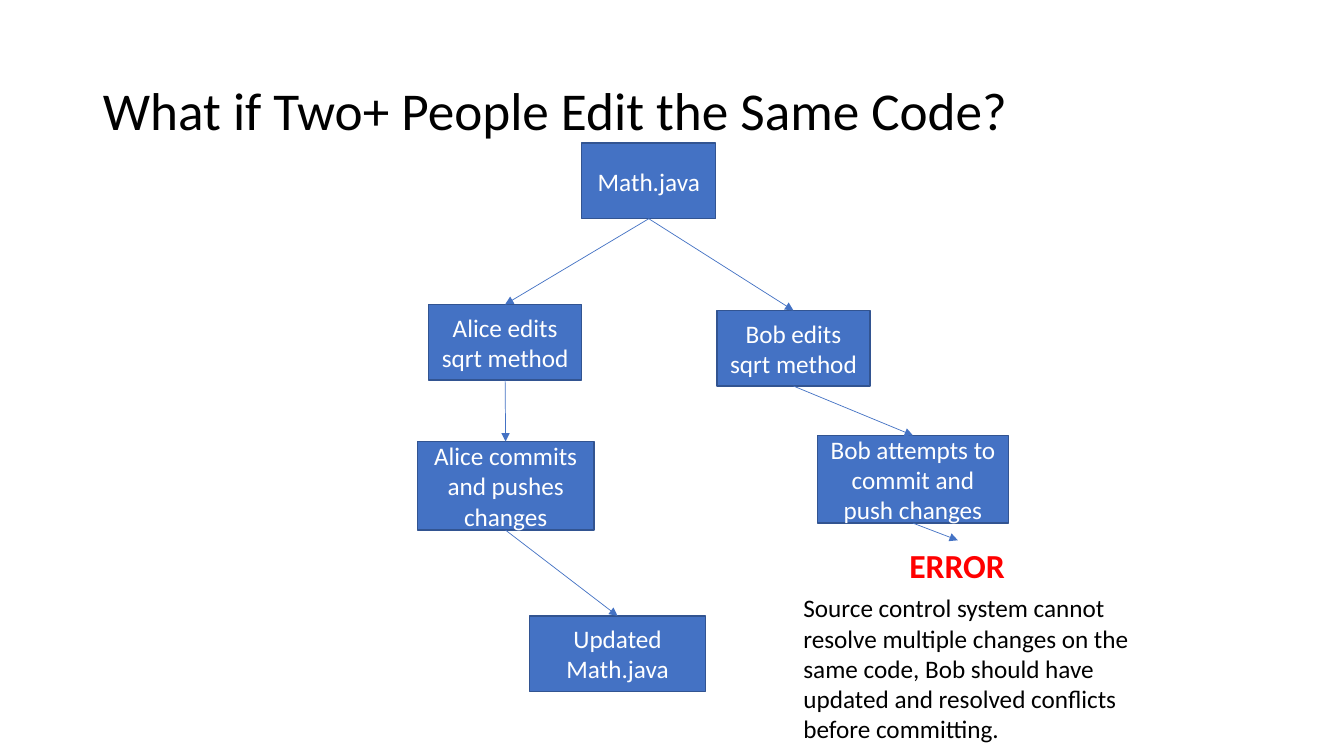
from lxml import etree
from pptx import Presentation
from pptx.dml.color import RGBColor
from pptx.enum import shapes, text
from pptx.oxml import ns
from pptx.util import Inches, Pt

BLUE = RGBColor(0x44, 0x72, 0xC4)
DARK_BLUE = RGBColor(0x32, 0x54, 0x91)
WHITE = RGBColor(0xFF, 0xFF, 0xFF)
BLACK = RGBColor(0, 0, 0)
RED = RGBColor(0xFF, 0, 0)


def style(paragraph, size, color, bold=False):
    font = paragraph.font
    font.name, font.size, font.bold = "Calibri", Pt(size), bold
    font.color.rgb = color


def add_note(left, top, width, height, words, size, color, bold=False):
    note = slide.shapes.add_textbox(Inches(left), Inches(top), Inches(width), Inches(height))
    note.text_frame.text = words
    note.text_frame.word_wrap = False
    note.text_frame.auto_size = text.MSO_AUTO_SIZE.SHAPE_TO_FIT_TEXT
    for paragraph in note.text_frame.paragraphs:
        style(paragraph, size, color, bold)
    return note


prs = Presentation()
prs.slide_width, prs.slide_height = Inches(13.33), Inches(7.5)
slide = prs.slides.add_slide(prs.slide_layouts[5])

title = slide.shapes.title
title.left, title.top = Inches(0.92), Inches(0.4)
title.width, title.height = Inches(11.5), Inches(1.45)
title.text_frame.text = "What if Two+ People Edit the Same Code?"
title.text_frame.vertical_anchor = text.MSO_ANCHOR.MIDDLE
heading = title.text_frame.paragraphs[0]
heading.alignment = text.PP_ALIGN.LEFT
heading.line_spacing = 0.9
style(heading, 38, BLACK)

steps = {}
for step, left, top, width, height, words in [
    ("alice edits", 4.25, 3.02, 1.52, 0.75, "Alice edits sqrt method"),
    ("start", 5.77, 1.42, 1.33, 0.75, "Math.java"),
    ("bob edits", 7.11, 3.08, 1.52, 0.75, "Bob edits sqrt method"),
    ("alice pushes", 4.14, 4.38, 1.75, 0.88, "Alice commits and pushes changes"),
    ("bob pushes", 8.11, 4.32, 1.89, 0.87, "Bob attempts to commit and push changes"),
    ("updated", 5.25, 6.11, 1.75, 0.75, "Updated Math.java"),
]:
    box = slide.shapes.add_shape(
        shapes.MSO_SHAPE.RECTANGLE, Inches(left), Inches(top), Inches(width), Inches(height))
    box.shadow.inherit = False
    box.fill.solid()
    box.fill.fore_color.rgb = BLUE
    box.line.color.rgb = DARK_BLUE
    box.line.width = Pt(1)
    box.text_frame.text = words
    box.text_frame.word_wrap = True
    box.text_frame.vertical_anchor = text.MSO_ANCHOR.MIDDLE
    label = box.text_frame.paragraphs[0]
    label.alignment = text.PP_ALIGN.CENTER
    style(label, 18, WHITE)
    steps[step] = box

steps["error"] = add_note(8.92, 5.36, 1.16, 0.5, "ERROR", 24, RED, True)
add_note(
    7.87, 5.83, 3.53, 1.62,
    "Source control system cannot\nresolve multiple changes on the\nsame code, Bob should have\n"
    "updated and resolved conflicts\nbefore committing.",
    18, BLACK)

for source, target in [
    ("start", "bob edits"),
    ("start", "alice edits"),
    ("alice edits", "alice pushes"),
    ("bob edits", "bob pushes"),
    ("alice pushes", "updated"),
    ("bob pushes", "error"),
]:
    arrow = slide.shapes.add_connector(shapes.MSO_CONNECTOR.STRAIGHT, 0, 0, 0, 0)
    arrow.begin_connect(steps[source], 2)
    arrow.end_connect(steps[target], 0)
    arrow.line.color.rgb = BLUE
    arrow.line.width = Pt(0.5)
    etree.SubElement(arrow.line._get_or_add_ln(), ns.qn("a:tailEnd"), type="triangle")
    etree.SubElement(arrow._element.spPr, ns.qn("a:effectLst"))

prs.save("out.pptx")
